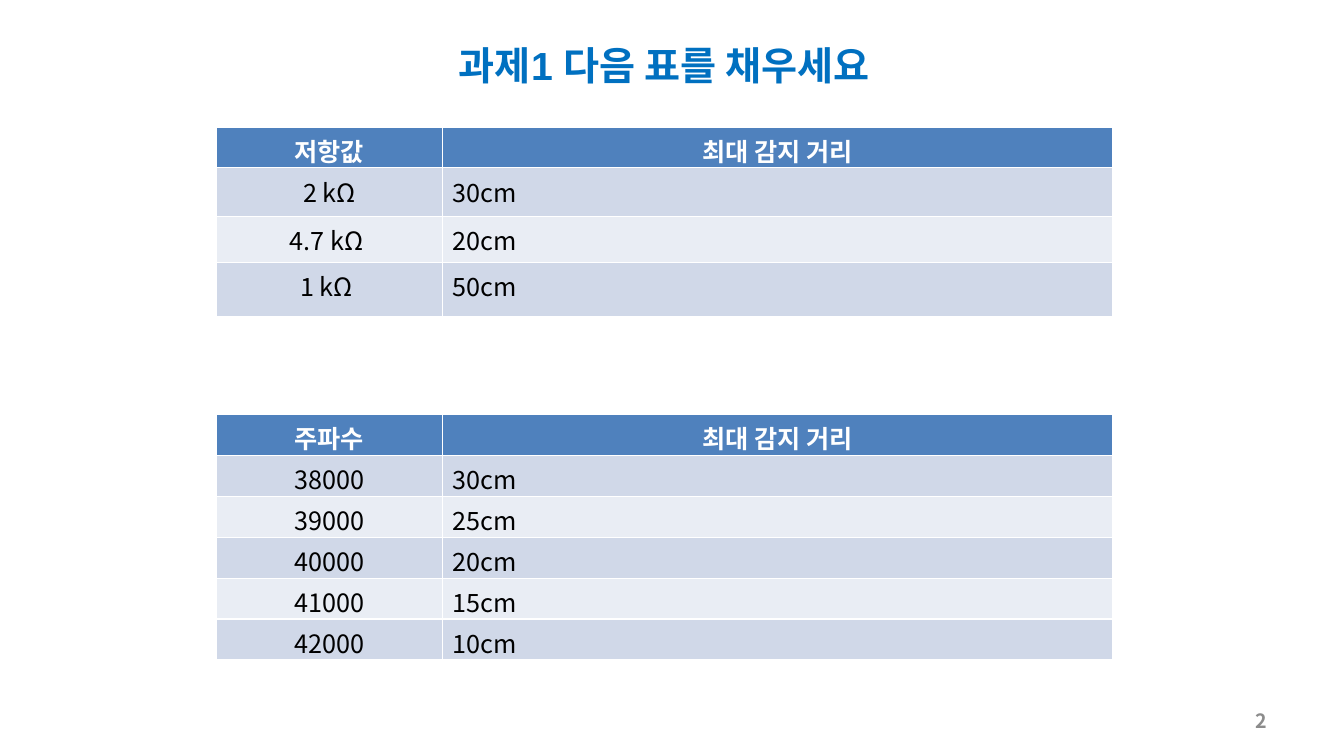
"""Build the assignment slide with two tables of maximum sensing distances."""
from lxml import etree
from pptx import Presentation
from pptx import util as u
from pptx.dml.color import RGBColor
from pptx.enum import text
from pptx.oxml.ns import qn

COLORS = {"title": "0070C0", "header": "4F81BD", "odd": "D0D8E8",
          "even": "E9EDF4", "white": "FFFFFF", "black": "000000", "number": "8C8C8C"}
KOREAN = "Noto Sans CJK KR"


def style(paragraph, size, color, bold, align, latin=KOREAN):
    paragraph.alignment = align
    for run in paragraph.runs:
        run.font.size = u.Pt(size)
        run.font.bold = bold
        run.font.color.rgb = RGBColor.from_string(COLORS[color])
        run.font.name = latin
        etree.SubElement(run.font._element, qn("a:ea")).set("typeface", KOREAN)


deck = Presentation()
deck.slide_width, deck.slide_height = u.Cm(33.87), u.Cm(19.05)
slide = deck.slides.add_slide(deck.slide_layouts[6])
LEFT, CENTER, RIGHT = text.PP_ALIGN.LEFT, text.PP_ALIGN.CENTER, text.PP_ALIGN.RIGHT

title = slide.shapes.add_textbox(u.Cm(0.74), u.Cm(0.91), u.Cm(32), u.Cm(1.45)).text_frame
title.word_wrap = True
title.text = "과제1 다음 표를 채우세요"
style(title.paragraphs[0], 28, "title", True, CENTER, "Arial")

page = slide.shapes.add_textbox(u.Cm(24.28), u.Cm(17.65), u.Cm(7.9), u.Cm(1.02)).text_frame
page.word_wrap = True
page.vertical_anchor = text.MSO_ANCHOR.MIDDLE
page.text = "2"
style(page.paragraphs[0], 14, "number", True, RIGHT)

resistance = [("저항값", "최대 감지 거리"), ("2 kΩ", "30cm"),
              ("4.7 kΩ ", "20cm"), ("1 kΩ ", "50cm")]
frequency = [("주파수", "최대 감지 거리"), ("38000", "30cm"), ("39000", "25cm"),
             ("40000", "20cm"), ("41000", "15cm"), ("42000", "10cm")]

for top, records, heights in ((3.21, resistance, [1.0, 1.23, 1.15, 1.38]),
                              (10.45, frequency, [1.03] * 6)):
    distances = slide.shapes.add_table(
        len(records), 2, u.Cm(5.45), u.Cm(top), u.Cm(22.6), u.Cm(sum(heights))).table
    distances.columns[0].width, distances.columns[1].width = u.Cm(5.7), u.Cm(16.9)
    for r, (record, height) in enumerate(zip(records, heights)):
        distances.rows[r].height = u.Cm(height)
        header = r == 0
        band = "header" if header else "odd" if r % 2 else "even"
        for c, value in enumerate(record):
            cell = distances.cell(r, c)
            cell.fill.solid()
            cell.fill.fore_color.rgb = RGBColor.from_string(COLORS[band])
            cell.text_frame.text = value
            style(cell.text_frame.paragraphs[0], 18, "white" if header else "black",
                  header, CENTER if header or c == 0 else LEFT)

deck.save("out.pptx")
